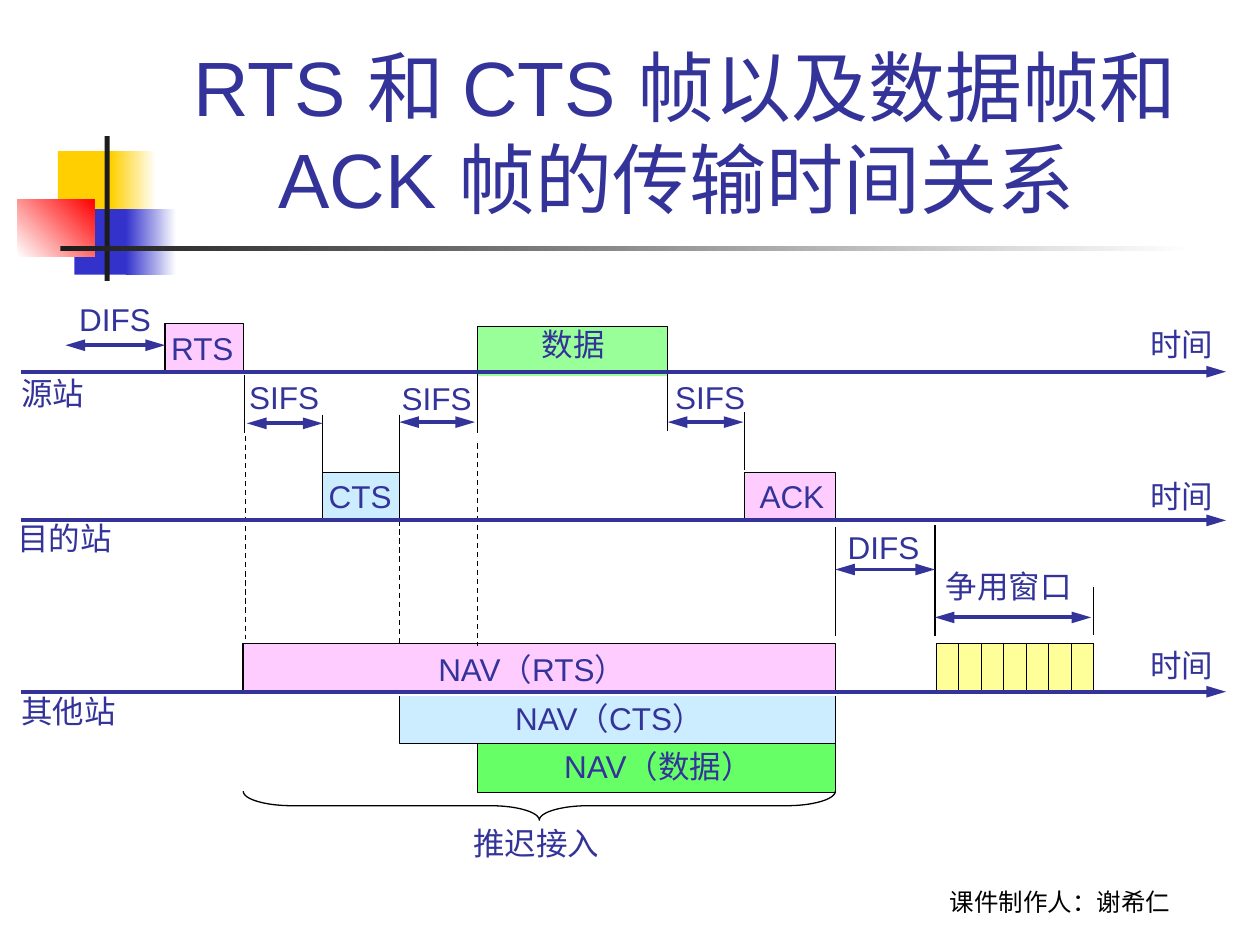
from dataclasses import dataclass

from pptx import Presentation
from pptx.dml.color import RGBColor
from pptx.enum.dml import MSO_LINE
from pptx.enum.shapes import MSO_CONNECTOR, MSO_SHAPE
from pptx.enum.text import MSO_ANCHOR, MSO_AUTO_SIZE, PP_ALIGN
from pptx.oxml.ns import qn
from pptx.util import Inches, Pt
from lxml.etree import SubElement


@dataclass(frozen=True)
class Theme:
    ink: str = "333399"
    black: str = "000000"
    white: str = "FFFFFF"
    dark: str = "1C1C1C"
    gold: str = "FFCF01"
    blue: str = "3333CC"
    red: str = "FF0000"
    pink: str = "FFCCFF"
    sky: str = "CCECFF"
    mint: str = "99FF99"
    green: str = "66FF66"
    yellow: str = "FFFF99"
    font: str = "Arial"
    credit_font: str = "Roboto"
    title_size: int = 44
    label_size: int = 18
    credit_size: int = 14
    thin: float = 0.75
    thick: float = 2.25


class TimingSlide:
    def __init__(self, slide, theme):
        self.shapes = slide.shapes
        self.theme = theme

    def block(self, left, top, width, height, color, fade_to=None, angle=0):
        block = self.shapes.add_shape(
            MSO_SHAPE.RECTANGLE, Inches(left), Inches(top), Inches(width), Inches(height))
        block.shadow.inherit = False
        block.line.fill.background()
        if fade_to:
            block.fill.gradient()
            block.fill.gradient_angle = angle
            for stop, tone in zip(block.fill.gradient_stops, (color, fade_to)):
                stop.color.rgb = RGBColor.from_string(tone)
        else:
            block.fill.solid()
            block.fill.fore_color.rgb = RGBColor.from_string(color)

    def outline(self, points, color=None):
        corners = [(Inches(x), Inches(y)) for x, y in points]
        builder = self.shapes.build_freeform(*corners[0])
        builder.add_line_segments(corners[1:], close=False)
        self.finish_outline(builder.convert_to_shape(), color)

    def finish_outline(self, shape, color=None):
        shape.shadow.inherit = False
        shape.line.color.rgb = RGBColor.from_string(self.theme.black)
        shape.line.width = Pt(self.theme.thin)
        if color:
            shape.fill.solid()
            shape.fill.fore_color.rgb = RGBColor.from_string(color)
        else:
            shape.fill.background()

    def frame(self, start, end, base, edge, color):
        """A box left open on its base side."""
        self.outline([(start, base), (start, edge), (end, edge), (end, base)], color)

    def brace(self, left, right, top, depth, curve):
        span = right - left
        brace = self.shapes.add_shape(
            MSO_SHAPE.RIGHT_BRACE, Inches((left + right - depth) / 2),
            Inches(top + (depth - span) / 2), Inches(depth), Inches(span))
        brace.rotation = 90
        brace.adjustments[0] = curve / depth
        self.finish_outline(brace)

    def line(self, x1, y1, x2, y2, color=None, width=None, dashed=False, heads=()):
        line = self.shapes.add_connector(
            MSO_CONNECTOR.STRAIGHT, Inches(x1), Inches(y1), Inches(x2), Inches(y2))
        line.line.color.rgb = RGBColor.from_string(color or self.theme.black)
        line.line.width = Pt(width or self.theme.thin)
        if dashed:
            line.line.dash_style = MSO_LINE.DASH
        properties = line._element.spPr
        for end in heads:
            head = SubElement(properties.find(qn("a:ln")), qn(f"a:{end}"))
            head.set("type", "triangle")
            head.set("len", "lg")
        SubElement(properties, qn("a:effectLst"))

    def arrow(self, start, end, y, heads=("headEnd", "tailEnd")):
        self.line(start, y, end, y, self.theme.ink, self.theme.thick, heads=heads)

    def text(self, words, left, top, width, height=0.4, size=None, color=None,
             font=None, align=PP_ALIGN.CENTER, anchor=MSO_ANCHOR.BOTTOM, wrap=True):
        box = self.shapes.add_textbox(
            Inches(left), Inches(top), Inches(width), Inches(height)).text_frame
        box.word_wrap = wrap
        box.auto_size = MSO_AUTO_SIZE.NONE if wrap else MSO_AUTO_SIZE.SHAPE_TO_FIT_TEXT
        box.vertical_anchor = anchor
        paragraph = box.paragraphs[0]
        paragraph.alignment = align
        run = paragraph.add_run()
        run.text = words
        run.font.name = font or self.theme.font
        run.font.size = Pt(size or self.theme.label_size)
        run.font.color.rgb = RGBColor.from_string(color or self.theme.ink)

    def label(self, words, left, top, width):
        self.text(words, left, top, width, align=PP_ALIGN.LEFT,
                  anchor=MSO_ANCHOR.TOP, wrap=False)


def main():
    presentation = Presentation()
    presentation.slide_width, presentation.slide_height = Inches(10), Inches(7.5)
    theme = Theme()
    slide = TimingSlide(
        presentation.slides.add_slide(presentation.slide_layouts[6]), theme)

    # Corner ornament and title rule
    slide.block(0.46, 1.2, 0.48, 0.52, theme.gold)
    slide.block(0.88, 1.2, 0.36, 0.52, theme.gold, theme.white)
    slide.block(0.59, 1.66, 0.46, 0.52, theme.blue)
    slide.block(1, 1.66, 0.4, 0.52, theme.blue, theme.white)
    slide.block(0.14, 1.58, 0.61, 0.46, theme.white, theme.red, angle=45)
    slide.block(0.83, 1.08, 0.04, 1.15, theme.dark)
    slide.block(0.48, 1.95, 9, 0.04, theme.dark, theme.white)

    # Title and credit
    slide.text("RTS 和 CTS 帧以及数据帧和ACK 帧的传输时间关系 ", 1, 0.23, 8.88, 1.6,
               size=theme.title_size)
    slide.text("课件制作人：谢希仁", 6.83, 6.82, 3.17, 0.5, size=theme.credit_size,
               color=theme.black, font=theme.credit_font)

    # Moments along the time axis and heights of the three axes
    rts_start, rts_end = 1.31, 1.93
    cts_start, cts_end = 2.56, 3.17
    data_start, data_end = 3.79, 5.3
    ack_start, ack_end = 5.91, 6.63
    window_start, window_end = 7.43, 8.68
    source, destination, others = 2.95, 4.13, 5.49
    frame_height = 0.38

    # Frames and NAV periods
    nav_cts_top, nav_data_top, nav_bottom = 5.52, 5.9, 6.29
    for start, end, base, edge, color in (
        (rts_start, rts_end, source, source - frame_height, theme.pink),
        (data_start, data_end, 2.98, 2.59, theme.mint),
        (cts_start, cts_end, destination, destination - frame_height, theme.sky),
        (ack_start, ack_end, destination, destination - frame_height, theme.pink),
        (rts_end, ack_end, others, others - frame_height, theme.pink),
        (data_start, ack_end, nav_data_top, nav_bottom, theme.green),
        (cts_end, ack_end, nav_cts_top, nav_data_top, theme.sky),
    ):
        slide.frame(start, end, base, edge, color)

    # Contention window, cut into slots
    slots, window_top = 7, others - frame_height
    slot_width = (window_end - window_start) / slots
    slide.block(window_start, window_top, window_end - window_start, frame_height, theme.yellow)
    slide.outline([(window_start, others), (window_start, window_top),
                   (window_end, window_top)])
    for slot in range(1, slots + 1):
        x = window_start + slot * slot_width
        slide.line(x, window_top, x, others)

    # Solid and dashed guides at the moments
    for x, top, bottom in (
        (1.94, 2.98, 3.44), (cts_start, 3.29, 3.75), (cts_end, 3.29, 3.75),
        (data_start, 2.98, 3.44), (data_end, 2.97, 3.42), (ack_start, 3.27, 3.73),
        (ack_end, 4.18, 5.05), (7.42, 4.17, 5.05), (window_end, 4.66, 5.04),
    ):
        slide.line(x, top, x, bottom)
    for x, top, bottom in ((1.95, 3.46, 5.07), (cts_end, 4.13, 5.13), (data_start, 3.52, 5.13)):
        slide.line(x, top, x, bottom, dashed=True)

    # Time axes with the stations
    for axis, station, left, top, width, time_top in (
        (source, "源站", 0.07, 2.92, 0.7, 2.53),
        (destination, "目的站", 0.04, 4.07, 0.95, 3.74),
        (others, "其他站", 0.07, 5.44, 0.95, 5.08),
    ):
        slide.arrow(0.17, 9.73, axis, heads=("tailEnd",))
        slide.label(station, left, top, width)
        slide.label("时间", 9.03, time_top, 0.7)

    # Intervals: arrow from, to, height; label left, top, width
    for words, start, end, y, left, top, width in (
        ("DIFS", 0.52, rts_start, 2.74, 0.53, 2.33, 0.8),
        ("SIFS", 1.96, cts_start, 3.36, 1.88, 2.95, 0.8),
        ("SIFS", cts_end, 3.77, 3.35, 3.09, 2.96, 0.8),
        ("SIFS", data_end, 5.9, 3.35, 5.26, 2.95, 0.8),
        ("DIFS", ack_end, 7.42, 4.52, 6.63, 4.14, 0.8),
        ("争用窗口", 7.42, 8.66, 4.9, 7.41, 4.45, 1.2),
    ):
        slide.arrow(start, end, y)
        slide.label(words, left, top, width)

    # Deferred access
    slide.brace(rts_end, ack_end, 6.28, 0.23, 0.39)
    slide.label("推迟接入", 3.66, 6.49, 1.2)

    # Frame labels
    for words, left, top, width in (
        ("RTS", 1.26, 2.56, 0.7), ("数据", 4.2, 2.53, 0.7),
        ("CTS", 2.51, 3.74, 0.7), ("ACK", 5.93, 3.74, 0.76),
        ("NAV（RTS）", 3.38, 5.11, 1.89), ("NAV（CTS）", 3.99, 5.5, 1.89),
        ("NAV（数据）", 4.38, 5.88, 1.77),
    ):
        slide.label(words, left, top, width)

    presentation.save("out.pptx")


if __name__ == "__main__":
    main()
